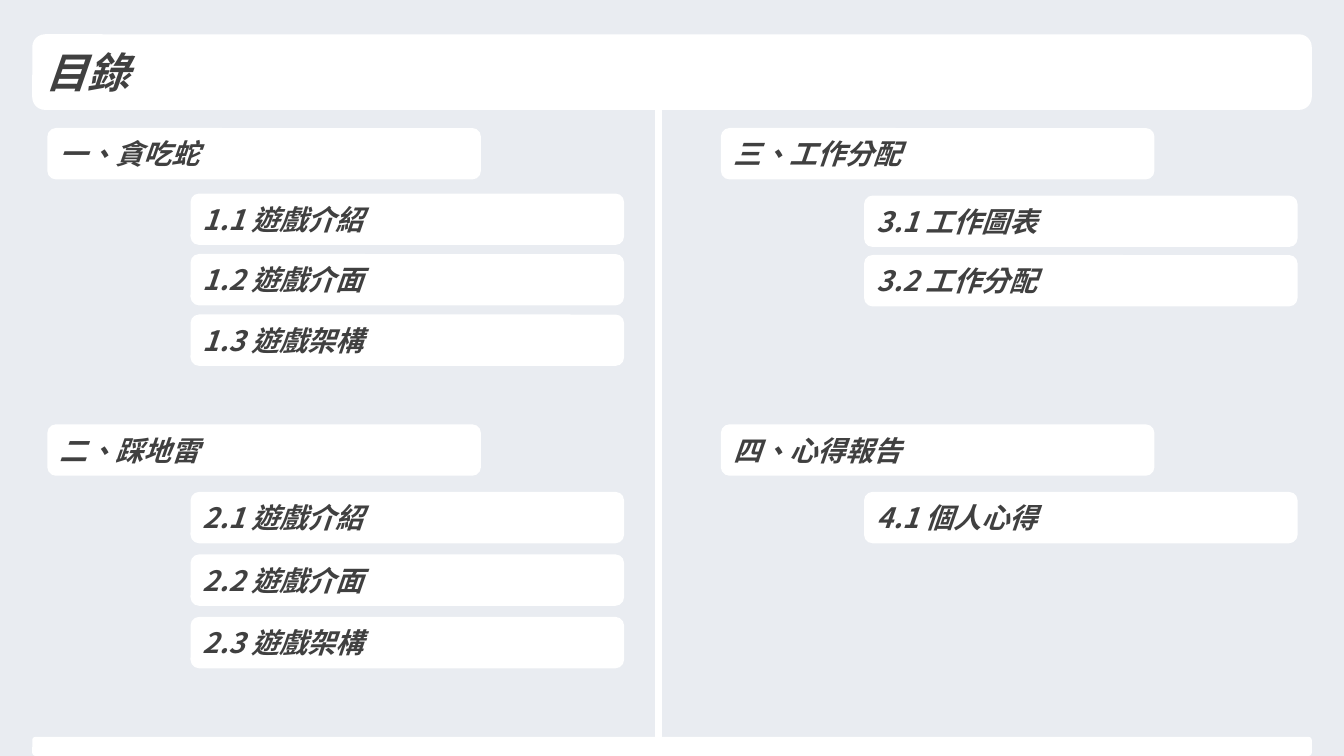
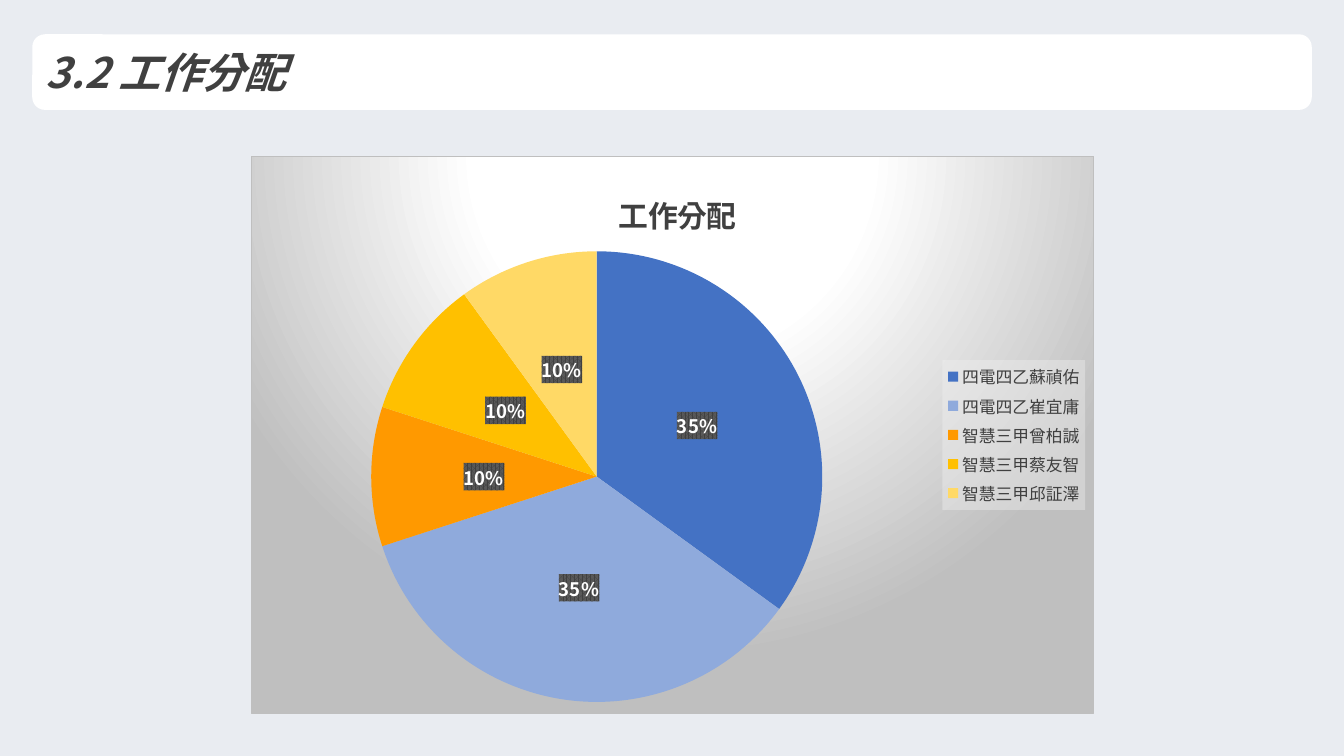
from pptx import Presentation
from pptx.chart.data import CategoryChartData
from pptx.dml.color import RGBColor
from pptx.enum.chart import XL_CHART_TYPE, XL_LABEL_POSITION, XL_LEGEND_POSITION
from pptx.enum.lang import MSO_LANGUAGE_ID
from pptx.enum.shapes import MSO_CONNECTOR, MSO_SHAPE
from pptx.enum.text import MSO_ANCHOR, PP_ALIGN
from pptx.oxml import parse_xml
from pptx.oxml.ns import nsdecls, qn
from pptx.util import Inches, Pt

ROUNDED, STRAIGHT = MSO_SHAPE.ROUNDED_RECTANGLE, MSO_CONNECTOR.STRAIGHT
MIDDLE, LEFT = MSO_ANCHOR.MIDDLE, PP_ALIGN.LEFT
PIE, LABEL_CENTER = XL_CHART_TYPE.PIE, XL_LABEL_POSITION.CENTER
LEGEND_RIGHT = XL_LEGEND_POSITION.RIGHT
CHINESE = MSO_LANGUAGE_ID.TRADITIONAL_CHINESE

# Shared style, lengths in inches
SLIDE_W, SLIDE_H = 13.33, 7.5
PAPER, CARD, INK = "E9ECF1", "FFFFFF", "404040"
CARD_FONT, CHART_FONT = "Noto Sans CJK SC", "Noto Sans CJK KR"
TITLE_BOX = (0.32, 0.34, 12.69, 0.75)
FOOTER_BOX = (0.32, 7.31, 12.69, 0.19)

# Contents grid
COLUMNS, ROWS = (0.47, 7.15), (1.27, 4.21)
SECTION_W, ENTRY_W, ENTRY_H = 5.72, 4.3, 0.51
DIVIDER_X = 6.53

# Column, row, heading, first entry offset, entry pitch, entries
SECTIONS = [
    (0, 0, "一、貪吃蛇", 0.65, 0.6, ["1.1 遊戲介紹", "1.2 遊戲介面", "1.3 遊戲架構"]),
    (0, 1, "二、踩地雷", 0.67, 0.62, ["2.1 遊戲介紹", "2.2 遊戲介面", "2.3 遊戲架構"]),
    (1, 0, "三、工作分配", 0.67, 0.59, ["3.1 工作圖表", "3.2 工作分配"]),
    (1, 1, "四、心得報告", 0.67, 0.62, ["4.1 個人心得"]),
]

# Member, share of the work, slice colour
WORKLOAD = [
    ("四電四乙蘇禎佑", 35, "4472C4"),
    ("四電四乙崔宜庸", 35, "8FAADC"),
    ("智慧三甲曾柏誠", 10, "FF9900"),
    ("智慧三甲蔡友智", 10, "FFC000"),
    ("智慧三甲邱証澤", 10, "FFD966"),
]


def rgb(value):
    return RGBColor.from_string(value)


def inches(box):
    return [Inches(length) for length in box]


def set_font(font, size, color=INK, bold=False, name=CHART_FONT):
    font.size, font.bold, font.name = Pt(size), bold, name
    font.color.rgb = rgb(color)


def add_east_asian_fonts(root):
    """Use each Latin typeface for the Chinese text as well."""
    for latin in list(root.iter(qn("a:latin"))):
        latin.addnext(parse_xml(
            f'<a:ea {nsdecls("a")} typeface="{latin.get("typeface")}"/>'))


def add_card(slide, box, text="", size=20):
    card = slide.shapes.add_shape(ROUNDED, *inches(box))
    card.shadow.inherit = False
    card.fill.solid()
    card.fill.fore_color.rgb = rgb(CARD)
    card.line.fill.background()
    if text:
        frame = card.text_frame
        frame.word_wrap = True
        frame.vertical_anchor = MIDDLE
        paragraph = frame.paragraphs[0]
        paragraph.alignment = LEFT
        run = paragraph.add_run()
        run.text = text
        set_font(run.font, size, bold=True, name=CARD_FONT)
        run.font.italic = True
        run.font.language_id = CHINESE
        add_east_asian_fonts(paragraph._p)


def add_titled_slide(deck, title):
    slide = deck.slides.add_slide(deck.slide_layouts[6])
    slide.background.fill.solid()
    slide.background.fill.fore_color.rgb = rgb(PAPER)
    add_card(slide, TITLE_BOX, title, 30)
    return slide


def add_divider(slide, x, top, bottom):
    divider = slide.shapes.add_connector(STRAIGHT, *inches((x, top, x, bottom)))
    divider.line.color.rgb = rgb(CARD)
    divider.line.width = Pt(4.5)
    divider._element.spPr.append(parse_xml(f'<a:effectLst {nsdecls("a")}/>'))


def add_section(slide, box, heading, offset, pitch, entries):
    """Heading at the left of the box, its entries at the right below."""
    left, top, width = box
    add_card(slide, (left, top, ENTRY_W, ENTRY_H), heading)
    entry_left = left + width - ENTRY_W
    for index, entry in enumerate(entries):
        entry_top = top + offset + index * pitch
        add_card(slide, (entry_left, entry_top, ENTRY_W, ENTRY_H), entry)


def manual_layout(x, y, w=None, h=None):
    """Position, and optionally inner size, as shares of the chart."""
    target = '<c:layoutTarget val="inner"/>' if w else ""
    size = f'<c:w val="{w}"/><c:h val="{h}"/>' if w else ""
    return parse_xml(
        f'<c:layout {nsdecls("c")}><c:manualLayout>{target}'
        '<c:xMode val="edge"/><c:yMode val="edge"/>'
        f'<c:x val="{x}"/><c:y val="{y}"/>{size}</c:manualLayout></c:layout>')


def replace_layout(parent, index, layout):
    for old in parent.findall(qn("c:layout")):
        parent.remove(old)
    parent.insert(index, layout)


def area_style(fill, line="<a:ln><a:noFill/></a:ln>"):
    return parse_xml(f'<c:spPr {nsdecls("c", "a")}>{fill}{line}</c:spPr>')


def solid_xml(color, alpha=100):
    return (f'<a:solidFill><a:srgbClr val="{color}">'
            f'<a:alpha val="{alpha * 1000}"/></a:srgbClr></a:solidFill>')


def style_chart_areas(chart):
    root = chart.element
    chart_node = root.find(qn("c:chart"))

    # Radial backdrop and thin frame
    stops = "".join(
        f'<a:gs pos="{share * 1000}"><a:srgbClr val="{color}"/></a:gs>'
        for share, color in ((0, "FFFFFF"), (39, "FFFFFF"), (100, "BFBFBF")))
    backdrop = (f'<a:gradFill><a:gsLst>{stops}</a:gsLst><a:path path="circle">'
                '<a:fillToRect l="50000" t="-80000" r="50000" b="180000"/>'
                '</a:path></a:gradFill>')
    chart_node.addnext(area_style(
        backdrop, f'<a:ln w="9525">{solid_xml("BFBFBF")}</a:ln>'))

    # Title and pie positions
    replace_layout(chart_node.find(qn("c:title")), 1, manual_layout(0.43, 0.05))
    replace_layout(chart_node.find(qn("c:plotArea")), 0,
                   manual_layout(0.14, 0.17, 0.54, 0.81))

    # Translucent legend and hatched label boxes
    legend = chart_node.find(qn("c:legend"))
    legend.find(qn("c:txPr")).addprevious(area_style(solid_xml("F2F2F2", 39)))
    hatch = ('<a:pattFill prst="pct75"><a:fgClr><a:srgbClr val="404040"/></a:fgClr>'
             '<a:bgClr><a:srgbClr val="595959"/></a:bgClr></a:pattFill>')
    labels = next(root.iter(qn("c:dLbls")))
    labels.find(qn("c:txPr")).addprevious(area_style(hatch))


def add_workload_pie(slide, box):
    data = CategoryChartData()
    data.categories = [member for member, _, _ in WORKLOAD]
    data.add_series("Series 1", [share for _, share, _ in WORKLOAD])
    chart = slide.shapes.add_chart(PIE, *inches(box), data).chart
    set_font(chart.font, 10, "000000")

    # Title
    chart.has_title = True
    title_run = chart.chart_title.text_frame.paragraphs[0].add_run()
    title_run.text = "工作分配"
    set_font(title_run.font, 21.3, bold=True)

    # Legend
    chart.has_legend = True
    chart.legend.position = LEGEND_RIGHT
    chart.legend.include_in_layout = False
    set_font(chart.legend.font, 12)

    # Slices
    plot = chart.plots[0]
    plot.vary_by_categories = True
    series = plot.series[0]
    for index, (_, _, color) in enumerate(WORKLOAD):
        slice_fill = series.points[index].format.fill
        slice_fill.solid()
        slice_fill.fore_color.rgb = rgb(color)

    # Percentages
    labels = series.data_labels
    labels.show_percentage, labels.show_value = True, False
    labels.number_format, labels.number_format_is_linked = "0%", False
    labels.position = LABEL_CENTER
    set_font(labels.font, 13.3, "FFFFFF", bold=True)

    style_chart_areas(chart)
    add_east_asian_fonts(chart.element)


def build_contents(deck):
    slide = add_titled_slide(deck, "目錄")
    add_divider(slide, DIVIDER_X, TITLE_BOX[1] + TITLE_BOX[3], SLIDE_H)
    add_card(slide, FOOTER_BOX)
    for column, row, *content in SECTIONS:
        add_section(slide, (COLUMNS[column], ROWS[row], SECTION_W), *content)


def build_workload(deck):
    slide = add_titled_slide(deck, "3.2 工作分配")
    add_workload_pie(slide, (2.49, 1.55, 8.36, 5.53))


def main():
    deck = Presentation()
    deck.slide_width, deck.slide_height = inches((SLIDE_W, SLIDE_H))
    build_contents(deck)
    build_workload(deck)
    deck.save("out.pptx")


if __name__ == "__main__":
    main()
